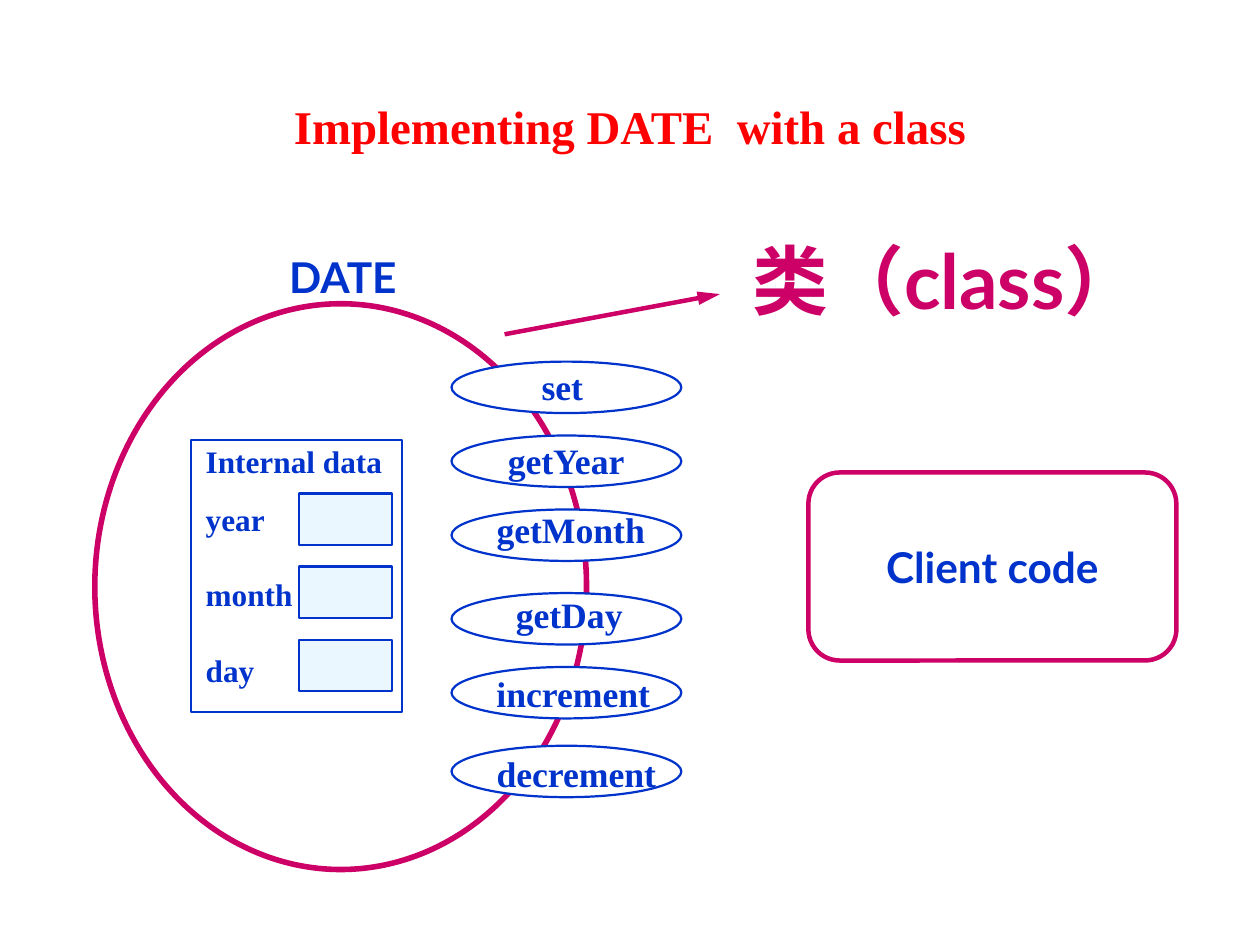
import dataclasses

import pptx
import pptx.dml.color
import pptx.enum.dml
import pptx.enum.shapes
import pptx.enum.text
import pptx.oxml
import pptx.oxml.ns
import pptx.util

SHAPE = pptx.enum.shapes.MSO_SHAPE
ALIGN = pptx.enum.text.PP_ALIGN
ANCHOR = pptx.enum.text.MSO_ANCHOR
AUTO = pptx.enum.text.MSO_AUTO_SIZE


@dataclasses.dataclass(frozen=True)
class Theme:
    """Colours, fonts, type sizes in points and the grid cell in inches."""
    blue: str = "0033CC"
    magenta: str = "CC0066"
    red: str = "FF0000"
    pale: str = "CCECFF"
    white: str = "FFFFFF"
    serif: str = "Times New Roman"
    sans: str = "Lato"
    title: int = 21
    method: int = 16
    data: int = 14
    heading: int = 19
    callout: int = 34
    cell: float = 0.1


THEME = Theme()
METHODS = [
    ("set", 22.5, 32.9, 22.3, 4.4),
    ("getYear", 27.1, 30.8, 26.9, 9.3),
    ("getMonth", 31.7, 30.1, 31.2, 11.1),
    ("getDay", 36.9, 31.3, 36.5, 8.5),
    ("increment", 41.5, 30.1, 41.4, 11.4),
    ("decrement", 46.4, 30.1, 46.4, 11.8),
]
FIELDS = [("Internal data", 0), ("year", 9.5), ("month", 16.8), ("day", 16.8)]


def grid(*cells):
    """Turn grid counts into lengths."""
    return [pptx.util.Inches(c * THEME.cell) for c in cells]


def rgb(color):
    """Turn a hex string into a colour."""
    return pptx.dml.color.RGBColor.from_string(color)


def apply(target, values):
    """Set every attribute in a dict of format values."""
    for name, value in values.items():
        setattr(target, name, value)


def write(s, lines, size, color, font, align=ALIGN.LEFT, anchor=ANCHOR.TOP,
          wrap=False, auto=AUTO.SHAPE_TO_FIT_TEXT):
    """Fill a shape with (text, space before) lines in bold type."""
    tf = s.text_frame
    side, edge = grid(0.8, 0.4)
    apply(tf, {"margin_left": side, "margin_right": side, "margin_top": edge,
               "margin_bottom": edge, "word_wrap": wrap, "auto_size": auto,
               "vertical_anchor": anchor})
    for i, (text, before) in enumerate(lines):
        p = tf.add_paragraph() if i else tf.paragraphs[0]
        p.alignment = align
        if before:
            p.space_before = pptx.util.Pt(before)
        r = p.add_run()
        r.text = text
        apply(r.font, {"name": font, "size": pptx.util.Pt(size), "bold": True})
        r.font.color.rgb = rgb(color)


def add_label(slide, box, text, size, color, font, **layout):
    """Add a text box holding one line."""
    s = slide.shapes.add_textbox(*grid(*box))
    write(s, [(text, 0)], size, color, font, **layout)


def add_outline(slide, kind, box, color, width, fill=None, opacity=None):
    """Add an outlined preset shape with an optional see-through fill."""
    s = slide.shapes.add_shape(kind, *grid(*box))
    s.shadow.inherit = False
    s.line.width = pptx.util.Pt(width)
    s.line.color.rgb = rgb(color)
    if fill is None:
        s.fill.background()
        return s
    s.fill.solid()
    s.fill.fore_color.rgb = rgb(fill)
    if opacity is not None:
        clr = s.fill._xPr.find(".//" + pptx.oxml.ns.qn("a:srgbClr"))
        alpha = pptx.oxml.parse_xml(
            f'<a:alpha {pptx.oxml.ns.nsdecls("a")} val="{opacity * 1000}"/>')
        clr.append(alpha)
    return s


def add_arrow(slide, ends, color, width):
    """Add a straight arrow with a long head."""
    s = slide.shapes.add_connector(
        pptx.enum.shapes.MSO_CONNECTOR.STRAIGHT, *grid(*ends))
    s.line.width = pptx.util.Pt(width)
    s.line.color.rgb = rgb(color)
    ns = pptx.oxml.ns.nsdecls("a")
    s.line._get_or_add_ln().append(
        pptx.oxml.parse_xml(f'<a:tailEnd {ns} type="triangle" len="lg"/>'))
    s._element.spPr.append(pptx.oxml.parse_xml(f"<a:effectLst {ns}/>"))


def add_method(slide, name, top, left, label_top, width):
    """Add a method ellipse on the edge of the class with its name."""
    add_outline(slide, SHAPE.OVAL, (28.1, top, 14.3, 3.2), THEME.blue, 1, THEME.white)
    add_label(slide, (left, label_top, width, 3.5), name, THEME.method,
              THEME.blue, THEME.serif)


def add_internal_data(slide):
    """Add the panel of private fields with a value box for each."""
    add_outline(slide, SHAPE.RECTANGLE, (11.9, 27.4, 13.1, 16.9), THEME.blue, 1)
    s = slide.shapes.add_textbox(*grid(12, 27.1, 13, 16.1))
    write(s, FIELDS, THEME.data, THEME.blue, THEME.serif, wrap=True)
    for i in range(len(FIELDS) - 1):
        add_outline(slide, SHAPE.RECTANGLE, (18.6, 30.7 + 4.55 * i, 5.8, 3.2),
                    THEME.blue, 1, THEME.pale, 40)


def add_client(slide):
    """Add the rounded client code box."""
    s = add_outline(slide, SHAPE.ROUNDED_RECTANGLE, (50.3, 29.4, 22.9, 11.7),
                    THEME.magenta, 2)
    write(s, [("Client code", 0)], THEME.heading, THEME.blue, THEME.sans,
          align=ALIGN.CENTER, anchor=ANCHOR.MIDDLE, auto=AUTO.NONE)


def main():
    """Build and save the slide."""
    prs = pptx.Presentation()
    prs.slide_width, prs.slide_height = grid(78.4, 58.8)
    slide = prs.slides.add_slide(prs.slide_layouts[6])
    add_label(slide, (2.6, 5.7, 73.2, 4.3), "Implementing DATE  with a class",
              THEME.title, THEME.red, THEME.serif, align=ALIGN.CENTER,
              anchor=ANCHOR.MIDDLE, wrap=True)
    add_outline(slide, SHAPE.OVAL, (5.9, 18.9, 30.6, 35.2), THEME.magenta, 2.5)
    for method in METHODS:
        add_method(slide, *method)
    add_internal_data(slide)
    add_client(slide)
    add_label(slide, (44.1, 14.6, 29.6, 5.6), "类（class）", THEME.callout,
              THEME.magenta, THEME.sans, align=ALIGN.CENTER,
              anchor=ANCHOR.MIDDLE, auto=AUTO.NONE)
    add_arrow(slide, (31.4, 20.8, 44.8, 18.3), THEME.magenta, 2)
    add_label(slide, (17.2, 15.2, 8.3, 4), "DATE", THEME.heading, THEME.blue,
              THEME.sans)
    prs.save("out.pptx")


if __name__ == "__main__":
    main()
